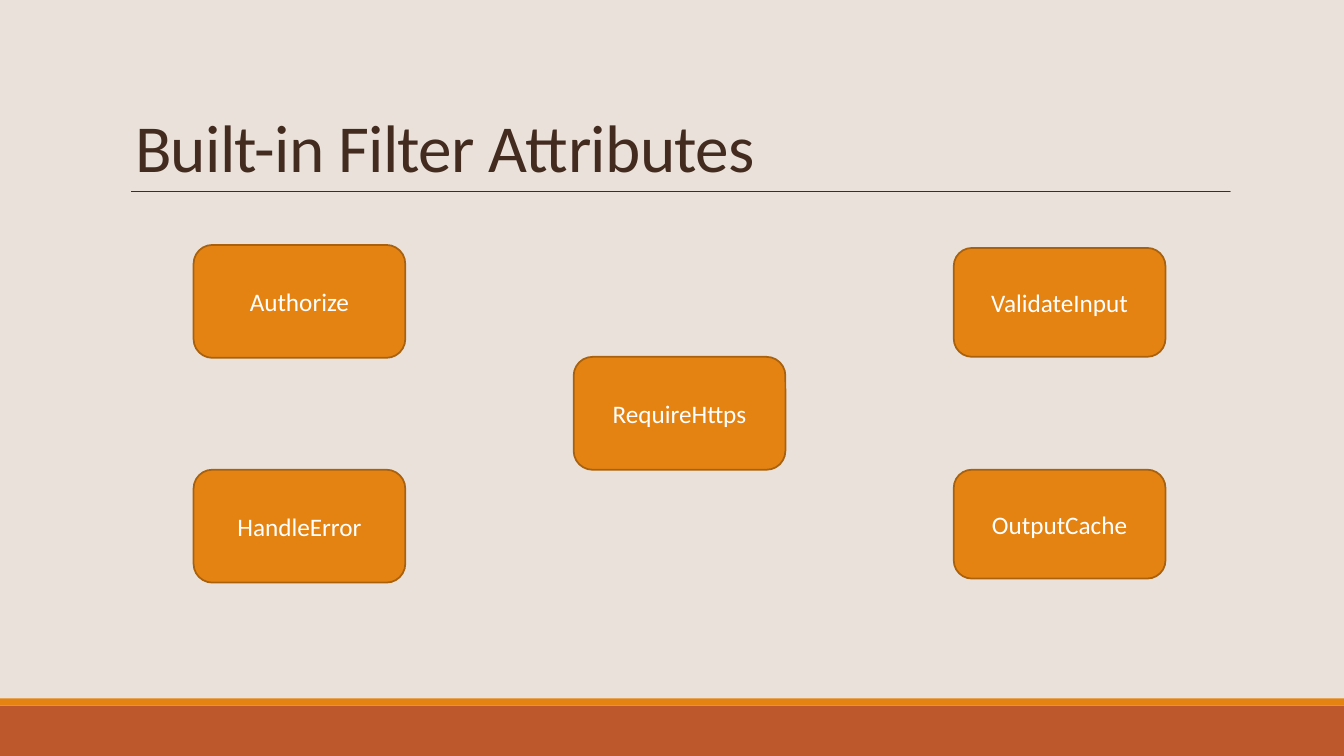
import pptx
import pptx.util
import pptx.dml.color
import pptx.enum.shapes
import pptx.enum.text
import pptx.oxml.ns
from lxml import etree

Inches = pptx.util.Inches
Pt = pptx.util.Pt
RGBColor = pptx.dml.color.RGBColor
Shape = pptx.enum.shapes.MSO_SHAPE
Anchor = pptx.enum.text.MSO_ANCHOR
Align = pptx.enum.text.PP_ALIGN

SAND = RGBColor(0xEA, 0xE2, 0xDA)
RUST = RGBColor(0xBD, 0x58, 0x2C)
ORANGE = RGBColor(0xE4, 0x83, 0x12)
EDGE = RGBColor(0xA9, 0x61, 0x0D)
BROWN = RGBColor(0x43, 0x2B, 0x20)
GRAY = RGBColor(0x80, 0x80, 0x80)
WHITE = RGBColor(0xFF, 0xFF, 0xFF)


class Deck:
    """Holds the style and the current slide."""

    font = "Calibri"
    wide, high = 13.33, 7.5

    def __init__(self):
        self.prs = pptx.Presentation()
        self.prs.slide_width = Inches(self.wide)
        self.prs.slide_height = Inches(self.high)
        self.slide = self.prs.slides.add_slide(self.prs.slide_layouts[5])
        back = self.slide.background.fill
        back.solid()
        back.fore_color.rgb = SAND

    def apply(self, item, form):
        for key, value in form.items():
            setattr(item, key, value)

    def label(self, shape, text, size, color, anchor, align, space=1.0):
        frame = shape.text_frame
        self.apply(frame, {"word_wrap": True, "vertical_anchor": anchor,
                           "auto_size": pptx.enum.text.MSO_AUTO_SIZE.NONE})
        par = frame.paragraphs[0]
        self.apply(par, {"alignment": align, "line_spacing": space})
        run = par.add_run()
        run.text = text
        self.apply(run.font, {"name": self.font, "size": Pt(size)})
        run.font.color.rgb = color
        return run

    def title(self, text, left, top, width, height):
        shape = self.slide.shapes.title
        self.apply(shape, {"left": Inches(left), "top": Inches(top),
                           "width": Inches(width), "height": Inches(height)})
        run = self.label(shape, text, 48, BROWN, Anchor.BOTTOM, Align.LEFT, 0.85)
        run._r.get_or_add_rPr().set("spc", "-50")

    def block(self, kind, left, top, width, height, fill):
        shape = self.slide.shapes.add_shape(
            kind, Inches(left), Inches(top), Inches(width), Inches(height))
        shape.shadow.inherit = False
        shape.fill.solid()
        shape.fill.fore_color.rgb = fill
        shape.line.fill.background()
        return shape

    def band(self, top, height, fill):
        self.block(Shape.RECTANGLE, 0, top, self.wide, height, fill)

    def box(self, text, left, top, height):
        shape = self.block(Shape.ROUNDED_RECTANGLE, left, top, 2.1, height, ORANGE)
        shape.line.color.rgb = EDGE
        shape.line.width = Pt(1.25)
        self.label(shape, text, 18, WHITE, Anchor.MIDDLE, Align.CENTER)

    def rule(self, left, top, width, color, weight):
        line = self.slide.shapes.add_connector(
            pptx.enum.shapes.MSO_CONNECTOR.STRAIGHT,
            Inches(left), Inches(top), Inches(left + width), Inches(top))
        line.line.color.rgb = color
        line.line.width = Pt(weight)
        etree.SubElement(line._element.spPr, pptx.oxml.ns.qn("a:effectLst"))


def main():
    deck = Deck()

    # Footer bands
    deck.band(7, 0.5, RUST)
    deck.band(6.93, 0.07, ORANGE)

    # Title with its rules
    deck.rule(1.31, 1.9, 10.9, GRAY, 0.5)
    deck.title("Built-in Filter Attributes", 1.24, 0.31, 11, 1.59)
    deck.rule(1.3, 1.9, 10.9, BROWN, 1)

    # Filter boxes in three even columns
    first, step = 1.92, 3.77
    for text, col, top, height in (
        ("Authorize", 0, 2.43, 1.12),
        ("HandleError", 0, 4.66, 1.12),
        ("RequireHttps", 1, 3.54, 1.12),
        ("ValidateInput", 2, 2.46, 1.08),
        ("OutputCache", 2, 4.66, 1.08),
    ):
        deck.box(text, first + col * step, top, height)

    deck.prs.save("out.pptx")


if __name__ == "__main__":
    main()
